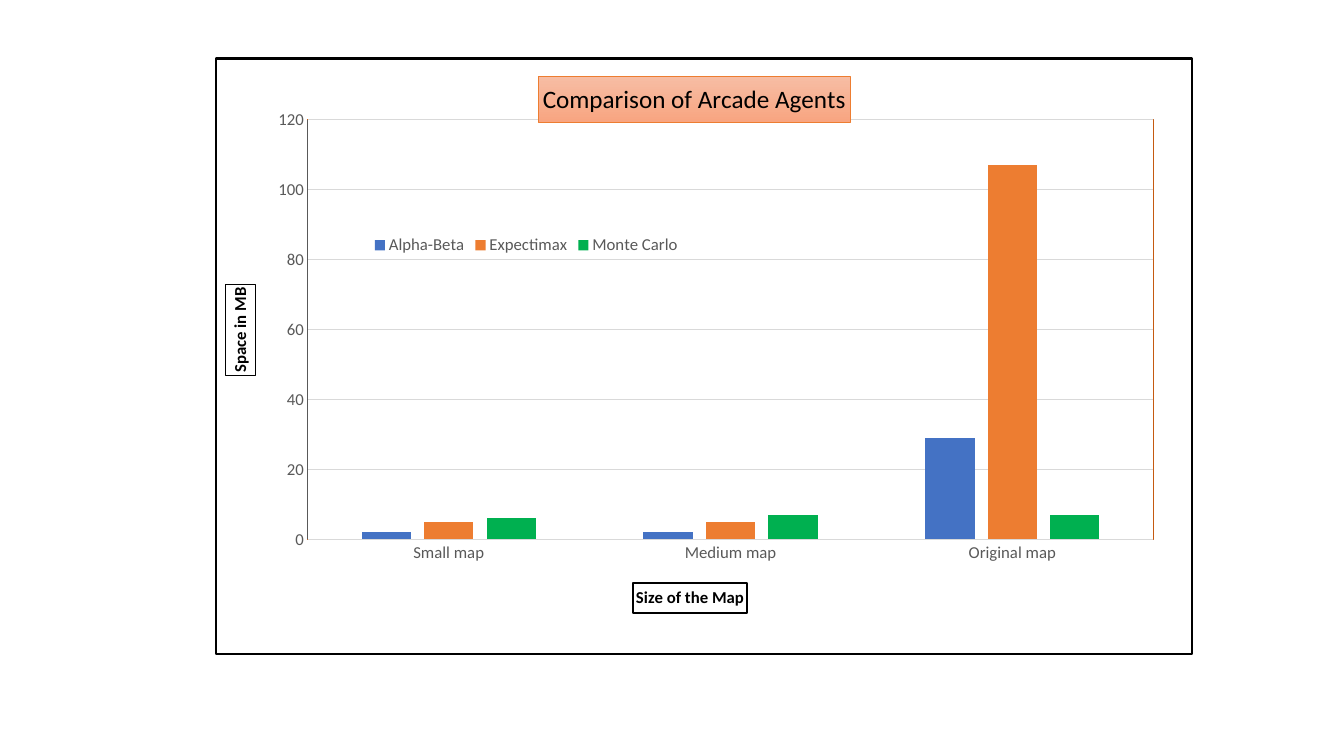
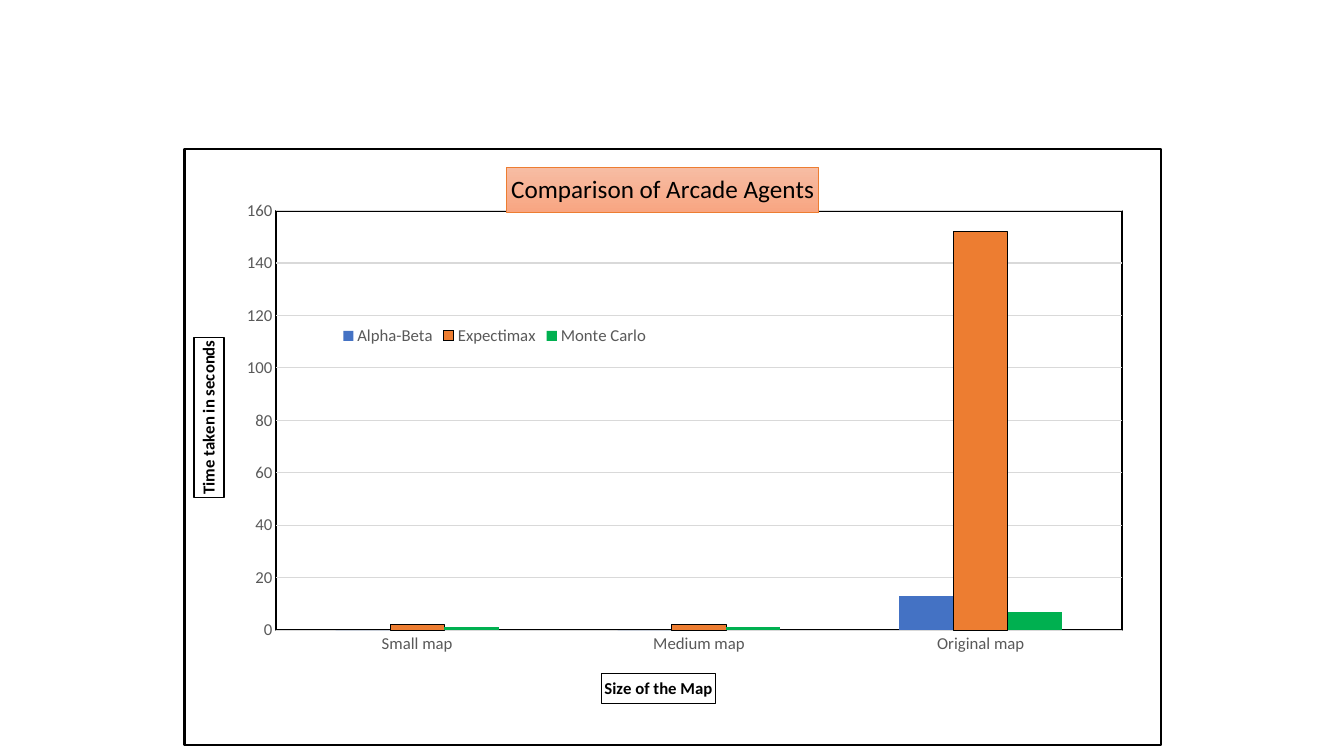
import pptx
import pptx.chart.data
import pptx.dml.color
import pptx.enum.chart
import pptx.oxml
import pptx.oxml.ns
import pptx.util

COLOURS = {
    "black": "000000",
    "white": "FFFFFF",
    "label": "595959",
    "grid": "D9D9D9",
    "blue": "4472C4",
    "orange": "ED7D31",
    "green": "00B050",
    "rust": "C55A11",
    "peach_light": "F7BDA4",
    "peach_dark": "F8A581",
}
FONT = "Calibri"
MAPS = ["Small map", "Medium map", "Original map"]
AGENT_COLOURS = {"Alpha-Beta": "blue", "Expectimax": "orange", "Monte Carlo": "green"}
CHART_WIDTH, CHART_HEIGHT = 72.8, 79.1


def colour(name):
    return pptx.dml.color.RGBColor.from_string(COLOURS[name])


def style_line(line, name, width=0.75):
    line.color.rgb = colour(name)
    line.width = pptx.util.Pt(width)


def style_font(font, size, name, bold=False):
    font.name = FONT
    font.size = pptx.util.Pt(size)
    font.bold = bold
    font.color.rgb = colour(name)


def frame_xml(line_name, width, fill_name=None):
    """Shape properties for chart parts that offer no format object."""
    fill = "<a:noFill/>"
    if fill_name:
        fill = f'<a:solidFill><a:srgbClr val="{COLOURS[fill_name]}"/></a:solidFill>'
    return pptx.oxml.parse_xml(
        f'<c:spPr {pptx.oxml.ns.nsdecls("c", "a")}>{fill}'
        f'<a:ln w="{pptx.util.Pt(width)}"><a:solidFill>'
        f'<a:srgbClr val="{COLOURS[line_name]}"/></a:solidFill></a:ln></c:spPr>'
    )


def place(element, index, left, top, width=None, height=None):
    """Fix a chart part at percentages of the chart's size."""
    old = element.find(pptx.oxml.ns.qn("c:layout"))
    if old is not None:
        element.remove(old)
    values = {"x": left, "y": top, "w": width, "h": height}
    target = '<c:layoutTarget val="inner"/>' if width else ""
    modes = '<c:xMode val="edge"/><c:yMode val="edge"/>'
    sizes = "".join(
        f'<c:{key} val="{value / 100:.4f}"/>' for key, value in values.items() if value is not None
    )
    layout = pptx.oxml.parse_xml(
        f'<c:layout {pptx.oxml.ns.nsdecls("c")}><c:manualLayout>'
        f"{target}{modes}{sizes}</c:manualLayout></c:layout>"
    )
    element.insert(index, layout)


class Deck:
    def __init__(self):
        self.presentation = pptx.Presentation()
        self.presentation.slide_width = pptx.util.Inches(13.33)
        self.presentation.slide_height = pptx.util.Inches(7.5)
        self.slide = None

    def add_slide(self):
        self.slide = self.presentation.slides.add_slide(self.presentation.slide_layouts[6])

    def box(self, left, top, width, height):
        """Turn percentages of the slide into lengths."""
        across, down = self.presentation.slide_width, self.presentation.slide_height
        return [int(share * side / 100) for share, side in
                zip((left, top, width, height), (across, down, across, down))]

    def title(self, title, text, size, left, top, bold=False):
        paragraph = title.text_frame.paragraphs[0]
        run = paragraph.add_run()
        run.text = text
        style_font(run.font, size, "black", bold)
        place(title._element, 1, left, top)

    def chart_title(self, chart, text):
        chart.has_title = True
        self.title(chart.chart_title, text, 18, 33, 3)
        look = chart.chart_title.format
        look.fill.gradient()
        look.fill.gradient_angle = 270
        for stop, name in zip(look.fill.gradient_stops, ("peach_light", "peach_dark")):
            stop.color.rgb = colour(name)
        style_line(look.line, "orange", 0.5)

    def axis(self, axis, text, left, top, turned=False):
        axis.major_tick_mark = axis.minor_tick_mark = pptx.enum.chart.XL_TICK_MARK.NONE
        style_font(axis.tick_labels.font, 12, "label")
        title = axis.axis_title
        self.title(title, text, 12, left, top, bold=True)
        title.format.fill.solid()
        title.format.fill.fore_color.rgb = colour("white")
        style_line(title.format.line, "black", 1)
        if turned:
            body = title._element.find(".//" + pptx.oxml.ns.qn("a:bodyPr"))
            body.set("rot", "-5400000")
            body.set("vert", "horz")

    def value_axis(self, axis, text, title_top, maximum, line_name):
        self.axis(axis, text, 0.95, title_top, turned=True)
        axis.minimum_scale, axis.maximum_scale, axis.major_unit = 0, maximum, 20
        axis.has_major_gridlines = True
        style_line(axis.major_gridlines.format.line, "grid")
        if line_name:
            style_line(axis.format.line, line_name)
        else:
            axis.format.line.fill.background()

    def legend(self, chart):
        chart.has_legend = True
        chart.legend.position = pptx.enum.chart.XL_LEGEND_POSITION.BOTTOM
        chart.legend.include_in_layout = False
        style_font(chart.legend.font, 12, "label")
        place(chart.legend._element, 1, 15.7, 29)

    def column_chart(self, left, top, values, measure, measure_top, maximum,
                     plot_line, axis_line=None, overlap=0, outlined=()):
        data = pptx.chart.data.CategoryChartData()
        data.categories = MAPS
        for agent, numbers in values.items():
            data.add_series(agent, numbers)
        chart = self.slide.shapes.add_chart(
            pptx.enum.chart.XL_CHART_TYPE.COLUMN_CLUSTERED,
            *self.box(left, top, CHART_WIDTH, CHART_HEIGHT), data).chart
        style_font(chart.font, 10, "black")

        plot = chart.plots[0]
        plot.vary_by_categories = False
        plot.gap_width, plot.overlap = 219, overlap
        for series in plot.series:
            series.format.fill.solid()
            series.format.fill.fore_color.rgb = colour(AGENT_COLOURS[series.name])
            if series.name in outlined:
                style_line(series.format.line, "black")

        self.chart_title(chart, "Comparison of Arcade Agents")
        self.axis(chart.category_axis, "Size of the Map", 42.7, 88)
        style_line(chart.category_axis.format.line, "grid")
        self.value_axis(chart.value_axis, measure, measure_top, maximum, axis_line)
        self.legend(chart)

        chart_element = chart._chartSpace.find(pptx.oxml.ns.qn("c:chart"))
        chart_element.addnext(frame_xml("black", 1.5, "white"))
        plot_area = chart_element.find(pptx.oxml.ns.qn("c:plotArea"))
        place(plot_area, 0, 9.4, 10.3, 86.6, 70.4)
        plot_area.append(frame_xml(*plot_line))


def main():
    deck = Deck()

    deck.add_slide()
    space = {"Alpha-Beta": (2, 2, 29), "Expectimax": (5, 5, 107), "Monte Carlo": (6, 7, 7)}
    deck.column_chart(16, 7.6, space, "Space in MB", 37.9, 120,
                      plot_line=("rust", 0.75), axis_line="label", overlap=-27)

    deck.add_slide()
    time = {"Alpha-Beta": (0, 0, 13), "Expectimax": (2, 2, 152), "Monte Carlo": (1, 1, 7)}
    deck.column_chart(13.65, 19.6, time, "Time taken in seconds", 31.6, 160,
                      plot_line=("black", 1.5), outlined=("Expectimax",))

    deck.presentation.save("out.pptx")


if __name__ == "__main__":
    main()
